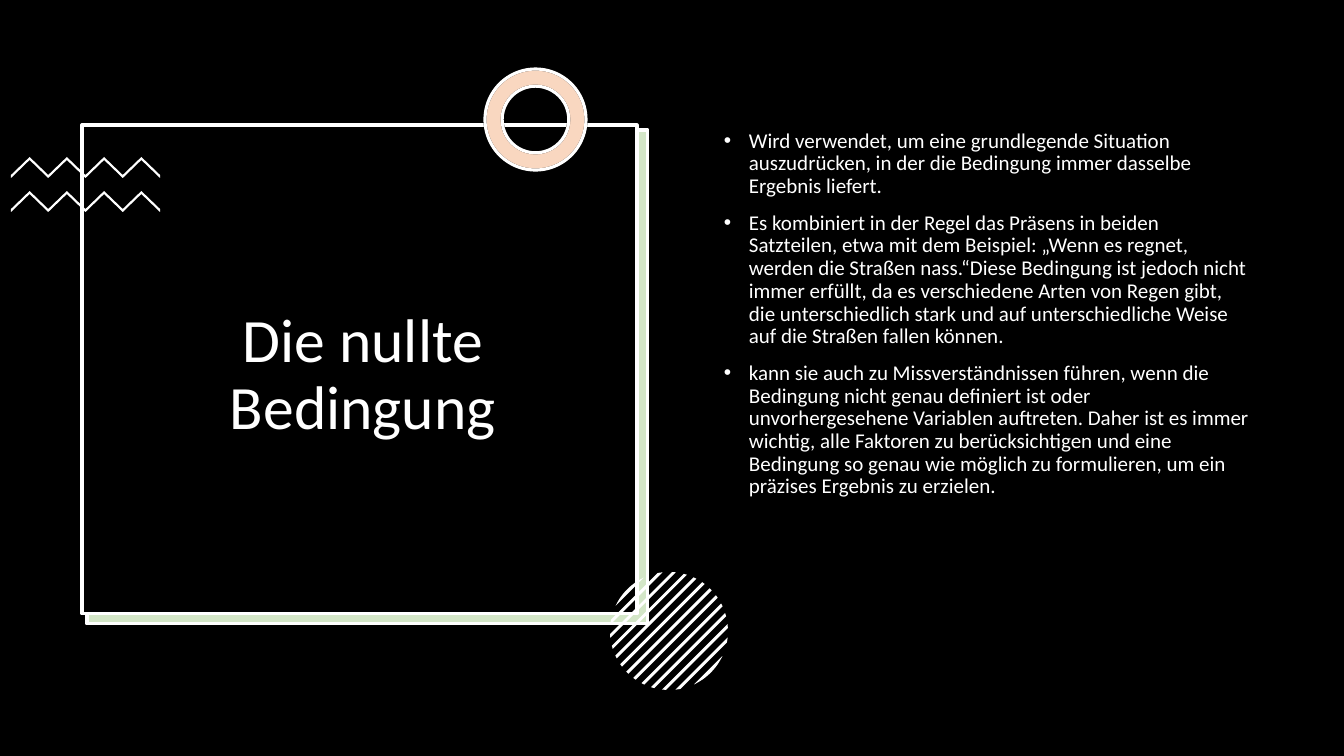
from math import acos, cos, pi, sin

from lxml.etree import SubElement
from pptx import Presentation
from pptx.dml.color import RGBColor
from pptx.enum.shapes import MSO_SHAPE as Preset
from pptx.enum.text import MSO_ANCHOR as Anchor, MSO_AUTO_SIZE as AutoSize, PP_ALIGN as Align
from pptx.oxml.ns import qn
from pptx.util import Pt

PX = 914400 / 100.8  # EMU in one pixel
SLIDE_W, SLIDE_H = 1344, 756

BLACK = RGBColor(0x00, 0x00, 0x00)
WHITE = RGBColor(0xFF, 0xFF, 0xFF)
GREEN = RGBColor(0x70, 0xAD, 0x47)
ORANGE = RGBColor(0xED, 0x7D, 0x31)
FONT = "Calibri"

TITLE = "Die nullte Bedingung"
POINTS = [
    "Wird verwendet, um eine grundlegende Situation auszudrücken, in der die "
    "Bedingung immer dasselbe Ergebnis liefert.\u00a0",
    "Es kombiniert in der Regel das Präsens in beiden Satzteilen, etwa mit dem "
    "Beispiel: „Wenn es regnet, werden die Straßen nass.“Diese Bedingung ist "
    "jedoch nicht immer erfüllt, da es verschiedene Arten von Regen gibt, die "
    "unterschiedlich stark und auf unterschiedliche Weise auf die Straßen fallen können.",
    "kann sie auch zu Missverständnissen führen, wenn die Bedingung nicht genau "
    "definiert ist oder unvorhergesehene Variablen auftreten. Daher ist es immer "
    "wichtig, alle Faktoren zu berücksichtigen und eine Bedingung so genau wie "
    "möglich zu formulieren, um ein präzises Ergebnis zu erzielen.",
]


def emu(pixels):
    return round(pixels * PX)


def paint(shape, fill, line=None, opacity=None):
    shape.shadow.inherit = False
    shape.fill.solid()
    shape.fill.fore_color.rgb = fill
    if opacity is not None:
        color = shape.fill._xPr.find(qn("a:solidFill"))[0]
        SubElement(color, qn("a:alpha"), val=str(opacity * 1000))
    if line is None:
        shape.line.fill.background()
    else:
        shape.line.color.rgb = line
        shape.line.width = Pt(2.25)


def add_preset(slide, preset, box, fill, line=None, opacity=None):
    shape = slide.shapes.add_shape(preset, *map(emu, box))
    paint(shape, fill, line, opacity)
    return shape


def add_outline(group, points):
    start, *rest = [(emu(x), emu(y)) for x, y in points]
    builder = group.shapes.build_freeform(*start, scale=1.0)
    builder.add_line_segments(rest, close=True)
    paint(builder.convert_to_shape(), WHITE)


def add_zigzag(group, left, top, width=149, height=18, thickness=3, strokes=8):
    upper = [(left + width * i / strokes, top + (0 if i % 2 else height))
             for i in range(strokes + 1)]
    lower = [(x, y + thickness) for x, y in reversed(upper)]
    add_outline(group, upper + lower)


def add_striped_circle(slide, center_x, center_y, radius, gap=9.5, half=1.5, side=6):
    """Diagonal stripes, each cut off by the circle."""
    group = slide.shapes.add_group_shape()
    steps = 6
    for number in range(-side, side + 1):
        near = acos((number * gap - half) / radius)
        far = acos(min(1, (number * gap + half) / radius))
        if number == -side:
            near = pi
        elif number == side:
            far = 0
        arc = [near + (far - near) * i / steps for i in range(steps + 1)]
        angles = arc + [-angle for angle in reversed(arc)]
        add_outline(group, [(center_x + radius * cos(pi / 4 + angle),
                             center_y + radius * sin(pi / 4 + angle))
                            for angle in angles])


def format_paragraph(paragraph, size, align, before):
    paragraph.alignment = align
    paragraph.line_spacing = 0.9
    paragraph.space_before = Pt(before)
    for run in paragraph.runs:
        run.font.name = FONT
        run.font.size = Pt(size)
        run.font.color.rgb = WHITE


def add_bullet(paragraph, indent):
    props = paragraph._p.get_or_add_pPr()
    props.set("marL", str(emu(indent)))
    props.set("indent", str(-emu(indent)))
    SubElement(props, qn("a:buFont"), typeface="Arial")
    SubElement(props, qn("a:buChar"), char="•")


def place_title(slide, box):
    title = slide.shapes.title
    title.left, title.top, title.width, title.height = map(emu, box)
    frame = title.text_frame
    frame.text = TITLE
    frame.word_wrap = True
    frame.auto_size = AutoSize.NONE
    frame.vertical_anchor = Anchor.MIDDLE
    format_paragraph(frame.paragraphs[0], 44, Align.CENTER, 0)
    # In front of the frame
    title.element.getparent().append(title.element)


def add_points(slide, box):
    frame = slide.shapes.add_textbox(*map(emu, box)).text_frame
    frame.word_wrap = True
    frame.text = "\n".join(POINTS)
    for paragraph in frame.paragraphs:
        format_paragraph(paragraph, 15, Align.LEFT, 10)
        add_bullet(paragraph, 25)


def main():
    deck = Presentation()
    deck.slide_width, deck.slide_height = emu(SLIDE_W), emu(SLIDE_H)
    slide = deck.slides.add_slide(deck.slide_layouts[5])

    # Backdrop and title frame
    add_preset(slide, Preset.RECTANGLE, (0, 0, SLIDE_W, SLIDE_H), BLACK)
    add_preset(slide, Preset.RECTANGLE, (86, 131, 561, 494), WHITE)
    add_preset(slide, Preset.RECTANGLE, (87, 130, 561, 494), GREEN, WHITE, 30)
    add_preset(slide, Preset.RECTANGLE, (82, 125, 555, 489), BLACK, WHITE)

    # Zigzags
    zigzags = slide.shapes.add_group_shape()
    for top in (157, 191):
        add_zigzag(zigzags, 11, top)

    # Ring: tinted over white
    for fill, line, opacity in ((WHITE, BLACK, None), (ORANGE, WHITE, 30)):
        ring = add_preset(slide, Preset.DONUT, (485, 69, 101, 101), fill, line, opacity)
        ring.adjustments[0] = 0.17

    add_striped_circle(slide, 669, 631, 59)

    # Text
    place_title(slide, (93, 153, 540, 446))
    add_points(slide, (714, 125, 548, 480))

    deck.save("out.pptx")


main()
